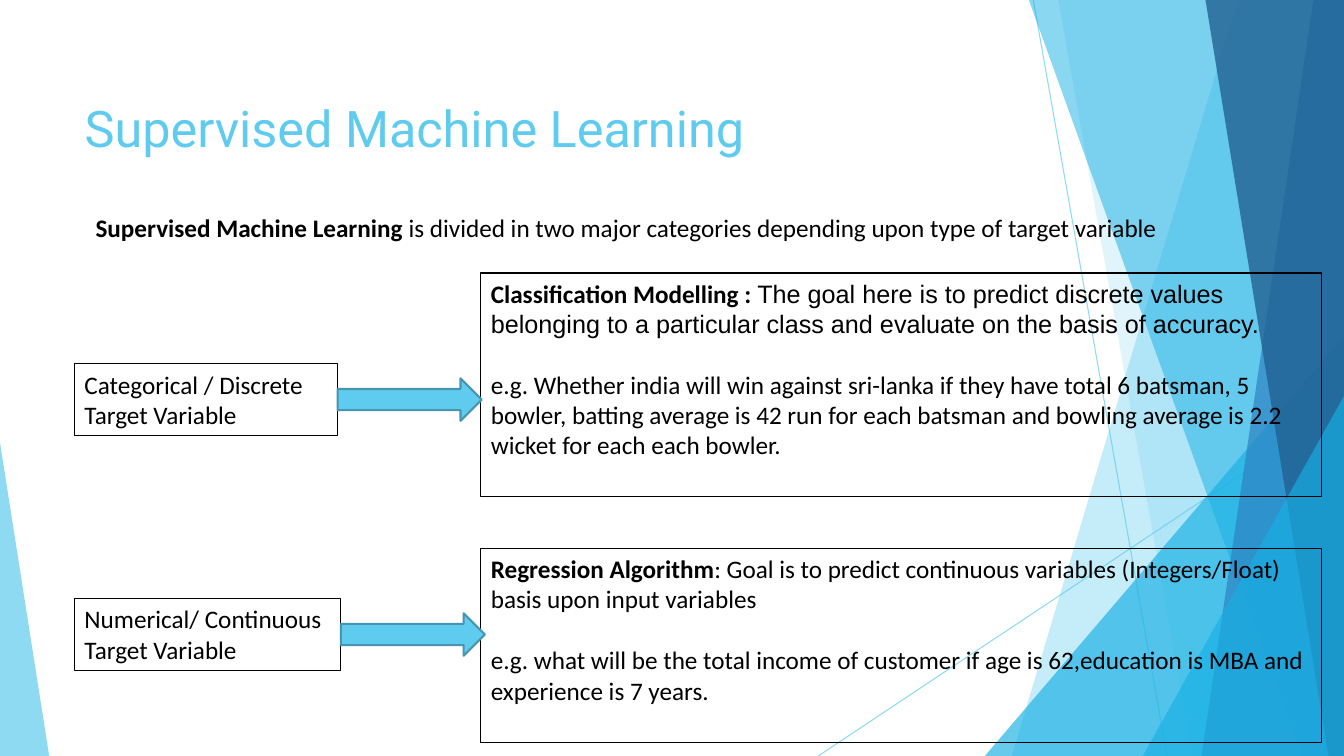
import pptx
import pptx.dml.color
import pptx.enum.shapes
import pptx.enum.text
import pptx.oxml.ns
import pptx.util
from lxml import etree

Cm, Pt = pptx.util.Cm, pptx.util.Pt
SHAPE = pptx.enum.shapes.MSO_SHAPE
WIDTH, HEIGHT = 33.87, 19.05
COLOURS = {
    "sky": "5FCBEF",
    "cyan": "17B0E4",
    "blue": "2E83C3",
    "navy": "226292",
    "arrow edge": "4696B1",
    "ink": "000000",
}


class SlideBuilder:
    """Holds the style and the current slide."""

    def __init__(self, slide, font="Calibri", size=18):
        self.slide = slide
        self.shapes = slide.shapes
        self.font = font
        self.size = size

    def colour(self, target, name, opacity=100):
        """Apply a palette colour to a fill, line fill or font fill."""
        target.solid()
        target.fore_color.rgb = pptx.dml.color.RGBColor.from_string(COLOURS[name])
        if opacity < 100:
            solid = target._xPr.find(pptx.oxml.ns.qn("a:solidFill"))
            alpha = etree.SubElement(solid[0], pptx.oxml.ns.qn("a:alpha"))
            alpha.set("val", str(opacity * 1000))

    def ray(self, x1, y1, x2, y2):
        line = self.shapes.add_connector(
            pptx.enum.shapes.MSO_CONNECTOR.STRAIGHT, Cm(x1), Cm(y1), Cm(x2), Cm(y2))
        line.line.width = Pt(0.75)
        self.colour(line.line.fill, "sky", 70)
        etree.SubElement(line._element.spPr, pptx.oxml.ns.qn("a:effectLst"))

    def facet(self, top_x, bottom_x, colour, opacity):
        """Full-height panel with a slanted left side, ending at the slide edge."""
        outline = self.shapes.build_freeform(Cm(top_x), 0)
        outline.add_line_segments(
            [(Cm(WIDTH), 0), (Cm(WIDTH), Cm(HEIGHT)), (Cm(bottom_x), Cm(HEIGHT))])
        self.plain(outline.convert_to_shape(), colour, opacity)

    def triangle(self, left, top, right, apex, colour, opacity):
        """Right-angled triangle standing on the slide's bottom edge."""
        shape = self.shapes.add_shape(
            SHAPE.ISOSCELES_TRIANGLE, Cm(left), Cm(top), Cm(right - left), Cm(HEIGHT - top))
        shape.adjustments[0] = apex
        self.plain(shape, colour, opacity)

    def plain(self, shape, colour, opacity):
        shape.shadow.inherit = False
        self.colour(shape.fill, colour, opacity)
        shape.line.fill.background()

    def title(self, text, left, top, width, height):
        title = self.shapes.title
        title.left, title.top, title.width, title.height = map(Cm, (left, top, width, height))
        frame = title.text_frame
        frame.text = text
        frame.vertical_anchor = pptx.enum.text.MSO_ANCHOR.TOP
        heading = frame.paragraphs[0]
        heading.alignment = pptx.enum.text.PP_ALIGN.LEFT
        heading.font.name, heading.font.size = "Roboto", Pt(36)
        self.colour(heading.font.fill, "sky")

    def text(self, paragraphs, left, top, width, height, framed=True, gap=0):
        """Text box; each paragraph is a list of (text, bold, font) runs."""
        box = self.shapes.add_textbox(Cm(left), Cm(top), Cm(width), Cm(height))
        if framed:
            self.colour(box.line.fill, "ink")
            box.line.width = Pt(0.75)
        frame = box.text_frame
        frame.word_wrap = True
        for index, runs in enumerate(paragraphs):
            paragraph = frame.add_paragraph() if index else frame.paragraphs[0]
            if index:
                paragraph.space_before = Pt(gap)
            paragraph.font.name, paragraph.font.size = self.font, Pt(self.size)
            self.colour(paragraph.font.fill, "ink")
            for words, bold, font in runs:
                run = paragraph.add_run()
                run.text = words
                if bold:
                    run.font.bold = True
                if font != self.font:
                    run.font.name = font

    def arrow(self, left, middle, width=3.63, height=1.07):
        arrow = self.shapes.add_shape(
            SHAPE.RIGHT_ARROW, Cm(left), Cm(middle - height / 2), Cm(width), Cm(height))
        arrow.shadow.inherit = False
        self.colour(arrow.fill, "sky")
        self.colour(arrow.line.fill, "arrow edge")
        arrow.line.width = Pt(1.5)


def main():
    deck = pptx.Presentation()
    deck.slide_width, deck.slide_height = Cm(WIDTH), Cm(HEIGHT)
    builder = SlideBuilder(deck.slides.add_slide(deck.slide_layouts[5]))

    # Faceted background
    builder.ray(26.04, 0, 29.41, HEIGHT)
    builder.ray(WIDTH, 10.24, 20.62, HEIGHT)
    builder.facet(31.19, 25.5, "sky", 36)
    builder.facet(26.67, 30.05, "sky", 20)
    builder.triangle(24.82, 8.46, WIDTH, 1, "cyan", 66)
    builder.facet(25.93, 32.79, "cyan", 50)
    builder.facet(33.1, 30.28, "blue", 70)
    builder.facet(30.38, 33.48, "navy", 80)
    builder.triangle(28.8, 9.98, WIDTH, 1, "cyan", 66)
    builder.triangle(0, 11.15, 1.24, 0, "sky", 70)

    # Title and introduction
    builder.title("Supervised Machine Learning", 1.88, 2.31, 23.88, 3.66)
    introduction = [
        ("Supervised Machine Learning ", True, "Calibri"),
        ("is divided in two major categories depending upon type of target variable",
         False, "Calibri"),
    ]
    builder.text([introduction], 2.16, 5.23, 28.32, 1.8, framed=False)

    # Target variable, its arrow and the matching kind of model
    categories = [
        ("Categorical / Discrete", 9.17, 6.63, 6.88, 5.64,
         "Classification Modelling : ",
         "The goal here is to predict discrete values belonging to a particular class "
         "and evaluate on the basis of accuracy.", "Arial",
         "e.g. Whether india will win against sri-lanka if they have total 6 batsman, "
         "5 bowler, batting average is 42 run for each batsman and bowling average is "
         "2.2 wicket for each each bowler."),
        ("Numerical/ Continuous", 15.09, 6.71, 13.82, 4.88,
         "Regression Algorithm",
         ": Goal is to predict continuous variables (Integers/Float) basis upon input "
         "variables", "Calibri",
         "e.g. what will be the total income of customer if age is 62,education is MBA "
         "and experience is 7 years."),
    ]
    label_left, label_height = 1.88, 1.8
    for (variable, label_top, label_width, model_top, model_height,
         model, goal, goal_font, example) in categories:
        label = [[(line, False, "Calibri")] for line in (variable, "Target Variable")]
        builder.text(label, label_left, label_top, label_width, label_height)
        description = [
            [(model, True, "Calibri"), (goal, False, goal_font)],
            [(example, False, "Calibri")],
        ]
        builder.text(description, 12.12, model_top, 21.18, model_height, gap=22)
        builder.arrow(label_left + label_width, label_top + label_height / 2)

    deck.save("out.pptx")


if __name__ == "__main__":
    main()
